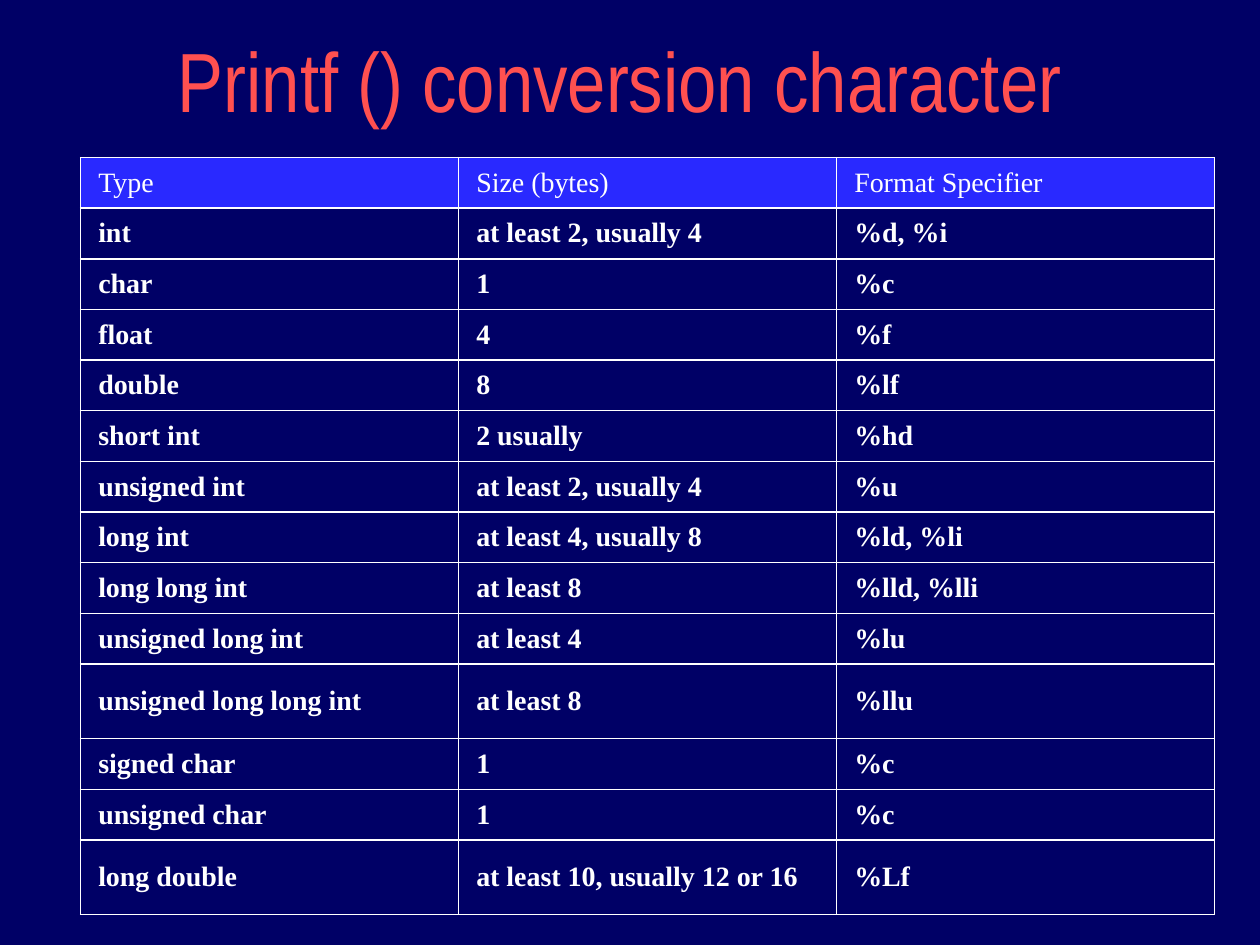
from lxml import etree
from pptx import Presentation
from pptx import util as u
from pptx.dml.color import RGBColor
from pptx.enum import text
from pptx.oxml import ns

WIDTH, HEIGHT = 10, 7.5
NAVY, BLUE, WHITE, CORAL = "000066", "2929FF", "FFFFFF", "FF5050"
ROW, TALL_ROW = 0.402, 0.593
TALL_TYPES = {"unsigned long long int", "long double"}
HEADINGS = ("Type", "Size (bytes)", "Format Specifier")
CONVERSIONS = [
    ("int", "at least 2, usually 4", "%d, %i"),
    ("char", "1", "%c"),
    ("float", "4", "%f"),
    ("double", "8", "%lf"),
    ("short int", "2 usually", "%hd"),
    ("unsigned int", "at least 2, usually 4", "%u"),
    ("long int", "at least 4, usually 8", "%ld, %li"),
    ("long long int", "at least 8", "%lld, %lli"),
    ("unsigned long int", "at least 4", "%lu"),
    ("unsigned long long int", "at least 8", "%llu"),
    ("signed char", "1", "%c"),
    ("unsigned char", "1", "%c"),
    ("long double", "at least 10, usually 12 or 16", "%Lf"),
]
CELL_FORMAT = {
    "margin_left": u.Inches(0.14), "margin_right": u.Inches(0.14),
    "margin_top": u.Inches(0.07), "margin_bottom": u.Inches(0.07),
    "vertical_anchor": text.MSO_ANCHOR.MIDDLE,
}


def apply(target, values):
    """Set each named attribute on the target."""
    for name, value in values.items():
        setattr(target, name, value)


def paint(color_holder, color):
    """Fill a background or cell with a hex colour."""
    color_holder.fill.solid()
    color_holder.fill.fore_color.rgb = RGBColor.from_string(color)


def write(paragraph, wording, color, **font):
    """Write one run with its font settings."""
    run = paragraph.add_run()
    run.text = wording
    apply(run.font, font)
    run.font.color.rgb = RGBColor.from_string(color)


def outline(cell, color, points):
    """Draw the four borders of a cell, ahead of its fill."""
    properties = cell._tc.get_or_add_tcPr()
    for position, side in enumerate(("lnL", "lnR", "lnT", "lnB")):
        line = etree.Element(ns.qn(f"a:{side}"), w=str(u.Pt(points)))
        fill = etree.SubElement(line, ns.qn("a:solidFill"))
        etree.SubElement(fill, ns.qn("a:srgbClr"), val=color)
        properties.insert(position, line)


def add_heading(slide, box):
    """Place the slide title in its box."""
    title = slide.shapes.title
    apply(title, dict(zip(("left", "top", "width", "height"), map(u.Inches, box))))
    apply(title.text_frame, {"vertical_anchor": text.MSO_ANCHOR.BOTTOM,
                             "word_wrap": True,
                             "auto_size": text.MSO_AUTO_SIZE.NONE})
    paragraph = title.text_frame.paragraphs[0]
    paragraph.alignment = text.PP_ALIGN.CENTER
    write(paragraph, "Printf () conversion character", CORAL,
          name="Arial Narrow", size=u.Pt(48))


def add_conversion_table(slide, left, top, width):
    """Place the table with equal columns and two row heights."""
    rows = [HEADINGS, *CONVERSIONS]
    heights = [TALL_ROW if row[0] in TALL_TYPES else ROW for row in rows]
    box = map(u.Inches, (left, top, width, sum(heights)))
    table = slide.shapes.add_table(len(rows), len(HEADINGS), *box).table
    apply(table, {"first_row": False, "horz_banding": False})
    for r, (row, height) in enumerate(zip(rows, heights)):
        table.rows[r].height = u.Inches(height)
        for c, wording in enumerate(row):
            cell = table.cell(r, c)
            apply(cell, CELL_FORMAT)
            paint(cell, NAVY if r else BLUE)
            outline(cell, WHITE, 1)
            write(cell.text_frame.paragraphs[0], wording, WHITE,
                  name="Times New Roman", size=u.Pt(16), bold=r > 0)


deck = Presentation()
apply(deck, {"slide_width": u.Inches(WIDTH), "slide_height": u.Inches(HEIGHT)})
slide = deck.slides.add_slide(deck.slide_layouts[5])
paint(slide.background, NAVY)
add_heading(slide, (0.67, 0, 0.85 * WIDTH, 1.08))
add_conversion_table(slide, 0.64, 1.25, 0.9 * WIDTH)
deck.save("out.pptx")
